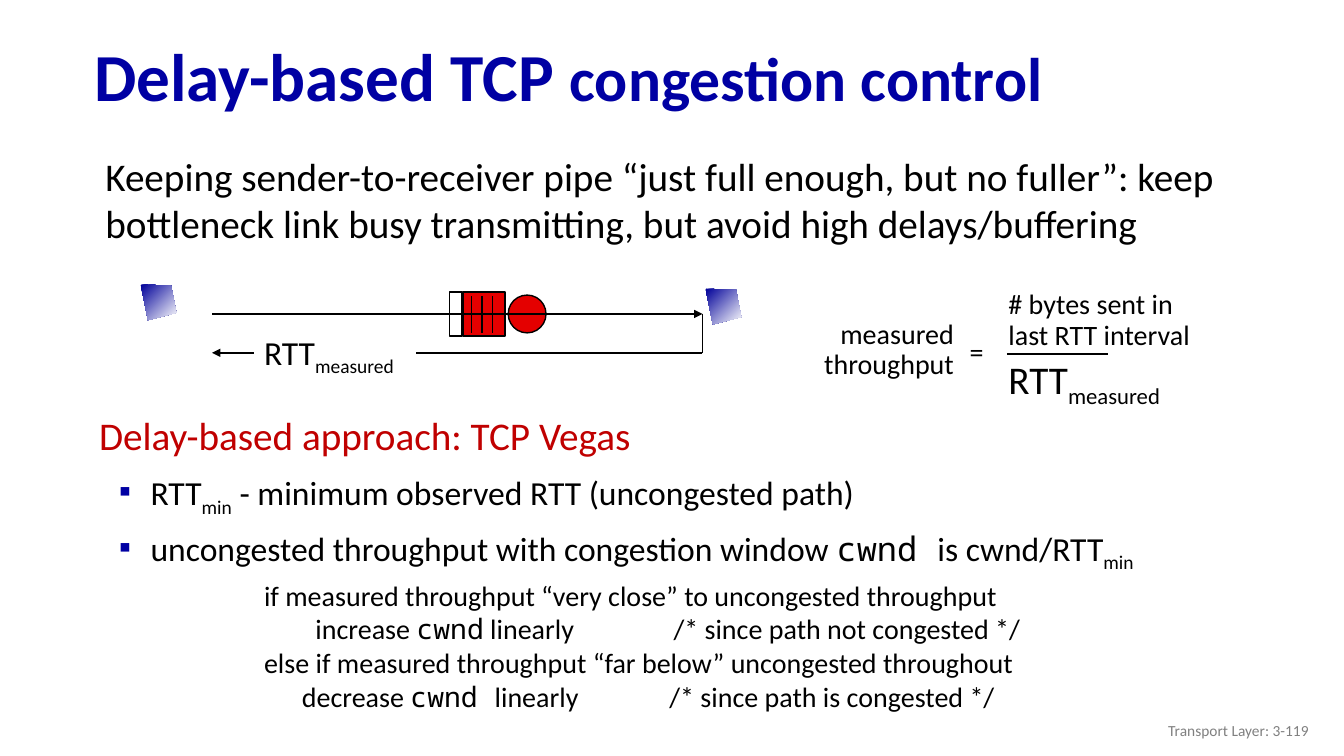
from lxml.etree import SubElement
from pptx import Presentation
from pptx.dml.color import RGBColor
from pptx.enum.shapes import MSO_CONNECTOR, MSO_SHAPE
from pptx.enum.text import MSO_ANCHOR, PP_ALIGN
from pptx.oxml.ns import qn
from pptx.util import Pt

PX = 9525
NAVY = RGBColor(0x00, 0x00, 0xA3)
HOST_BLUE = RGBColor(0x00, 0x00, 0x99)
RED = RGBColor(0xE4, 0x00, 0x00)
DARK_RED = RGBColor(0xC0, 0x00, 0x00)
BLACK = RGBColor(0x00, 0x00, 0x00)
GRAY = RGBColor(0x80, 0x80, 0x80)
WHITE = RGBColor(0xFF, 0xFF, 0xFF)
TEXT_FONT = "Calibri"
MONO = {"name": "Noto Sans Mono"}
SUBSCRIPT = {"baseline": -25000}
TIGHT = {"line_spacing": 0.9}
BULLETED = {**TIGHT, "space_before": Pt(10)}


def px(*lengths):
    return [length * PX for length in lengths]


def set_attributes(target, values):
    for name, value in values.items():
        setattr(target, name, value)


def add_runs(paragraph, runs, size, color=BLACK):
    for text, changes in runs:
        run = paragraph.add_run()
        run.text = text
        values = {"name": TEXT_FONT, "size": Pt(size), **changes}
        baseline = values.pop("baseline", None)
        set_attributes(run.font, values)
        run.font.color.rgb = color
        if baseline:
            run._r.get_or_add_rPr().set("baseline", str(baseline))


def set_indent(paragraph, margin, hanging=0):
    properties = paragraph._p.get_or_add_pPr()
    properties.set("marL", str(margin * PX))
    properties.set("indent", str(-hanging * PX))
    return properties


def add_bullet(paragraph):
    properties = set_indent(paragraph, 55, 30)
    color = SubElement(properties, qn("a:buClr"))
    SubElement(color, qn("a:srgbClr"), val=str(NAVY))
    SubElement(properties, qn("a:buFont"), typeface=TEXT_FONT)
    SubElement(properties, qn("a:buChar"), char="▪")


def add_tab_stops(paragraph, stops):
    tabs = SubElement(paragraph._p.get_or_add_pPr(), qn("a:tabLst"))
    for stop in stops:
        SubElement(tabs, qn("a:tab"), pos=str(stop * PX), algn="l")


def add_text(slide, box, lines, size, color=BLACK, values=None, anchor=MSO_ANCHOR.TOP):
    shape = slide.shapes.add_textbox(*px(*box))
    frame = shape.text_frame
    set_attributes(frame, {"word_wrap": True, "vertical_anchor": anchor})
    paragraphs = []
    for index, runs in enumerate(lines):
        paragraph = frame.add_paragraph() if index else frame.paragraphs[0]
        set_attributes(paragraph, values or {})
        add_runs(paragraph, runs, size, color)
        paragraphs.append(paragraph)
    return shape, paragraphs


def add_measured_rtt(slide, box, size):
    shape, _ = add_text(slide, box, [[("RTT", {}), ("measured", SUBSCRIPT)]], size)
    shape.fill.solid()
    shape.fill.fore_color.rgb = WHITE


def add_block(slide, kind, box, fill):
    shape = slide.shapes.add_shape(kind, *px(*box))
    shape.shadow.inherit = False
    shape.fill.solid()
    shape.fill.fore_color.rgb = fill
    shape.line.color.rgb = BLACK
    shape.line.width = Pt(1)
    return shape


def add_line(slide, start, end, width=1.25, arrow=False):
    line = slide.shapes.add_connector(MSO_CONNECTOR.STRAIGHT, *px(*start, *end))
    line.line.color.rgb = BLACK
    line.line.width = Pt(width)
    if arrow:
        SubElement(line.line._get_or_add_ln(), qn("a:tailEnd"), type="triangle")
    SubElement(line._element.spPr, qn("a:effectLst"))
    return line


def add_host(slide, left, top):
    outline = [(left + x, top + y) for x, y in [(0, 0), (29, 1), (34, 27), (7, 34)]]
    builder = slide.shapes.build_freeform(*outline[0], scale=PX)
    builder.add_line_segments(outline[1:], close=True)
    host = builder.convert_to_shape()
    host.shadow.inherit = False
    host.line.fill.background()
    host.fill.gradient()
    host.fill.gradient_angle = 315
    for stop, color in zip(host.fill.gradient_stops, (HOST_BLUE, WHITE)):
        stop.color.rgb = color


def add_title(slide):
    title = slide.shapes.title
    values = zip(("left", "top", "width", "height"), px(80, 29, 1196, 94))
    set_attributes(title, dict(values))
    title.text_frame.vertical_anchor = MSO_ANCHOR.MIDDLE
    paragraph = title.text_frame.paragraphs[0]
    set_attributes(paragraph, {**TIGHT, "alignment": PP_ALIGN.LEFT})
    runs = [("Delay-based TCP ", {"bold": True}),
            ("congestion control", {"bold": True, "size": Pt(44)})]
    add_runs(paragraph, runs, 48, NAVY)


def add_pipe(slide):
    add_host(slide, 134, 271)
    add_host(slide, 672, 275)
    queue = add_block(slide, MSO_SHAPE.RECTANGLE, (441, 278, 40, 42), RED)
    link = add_line(slide, (481, 299), (489, 299), 1.5)
    link.begin_connect(queue, 3)
    add_block(slide, MSO_SHAPE.OVAL, (484, 281, 36, 36), RED)
    for slot in range(3):
        x = 449 + 10 * slot
        add_line(slide, (x, 282), (x, 317))
    add_block(slide, MSO_SHAPE.RECTANGLE, (428, 278, 12, 42), WHITE)
    add_line(slide, (202, 299), (669, 299), arrow=True)
    add_line(slide, (669, 336), (202, 336), arrow=True)
    add_line(slide, (669, 299), (669, 336))
    add_measured_rtt(slide, (242, 311, 154, 48), 24)


def add_throughput_formula(slide):
    add_measured_rtt(slide, (951, 334, 176, 55), 28)
    add_text(slide, (774, 300, 144, 68), [[("measured", {})], [("throughput", {})]], 20,
             values={**TIGHT, "alignment": PP_ALIGN.RIGHT})
    add_line(slide, (959, 337), (1055, 337), 1.75)
    add_text(slide, (914, 314, 33, 42), [[("=", {})]], 20)
    add_text(slide, (951, 272, 195, 68), [[("# bytes sent in last RTT interval", {})]], 20,
             values=TIGHT)


def add_approach(slide):
    _, (heading, *_) = add_text(
        slide, (79, 392, 1222, 50), [[("Delay-based approach: TCP Vegas", {})]], 28,
        DARK_RED, TIGHT)
    set_indent(heading, 6)
    points = [
        [("RTT", {}), ("min", SUBSCRIPT),
         (" - minimum observed RTT (uncongested path)", {})],
        [("uncongested throughput with congestion window ", {}), ("cwnd ", MONO),
         ("is cwnd/RTT", {}), ("min", SUBSCRIPT)],
    ]
    frame = heading._parent
    for runs in points:
        paragraph = frame.add_paragraph()
        set_attributes(paragraph, BULLETED)
        add_bullet(paragraph)
        add_runs(paragraph, runs, 24)


def add_rules(slide):
    lines = [
        [("if measured throughput “very close” to uncongested throughput", {})],
        [("\tincrease ", {}), ("cwnd", MONO),
         (" linearly\t/* since path not congested */", {})],
        [("else if measured throughput “far below” uncongested throughout", {})],
        [("\tdecrease ", {}), ("cwnd ", MONO),
         ("linearly\t/* since path is congested */", {})],
    ]
    _, paragraphs = add_text(slide, (242, 546, 793, 168), lines, 20)
    add_tab_stops(paragraphs[1], (49, 390))
    add_tab_stops(paragraphs[3], (36, 386))


def main():
    presentation = Presentation()
    presentation.slide_width, presentation.slide_height = px(1280, 720)
    slide = presentation.slides.add_slide(presentation.slide_layouts[5])
    add_title(slide)
    goal = ("Keeping sender-to-receiver pipe “just full enough, but no fuller”: keep "
            "bottleneck link busy transmitting, but avoid high delays/buffering")
    _, (paragraph,) = add_text(slide, (66, 140, 1222, 100), [[(goal, {})]], 28)
    set_indent(paragraph, 25)
    add_pipe(slide)
    add_approach(slide)
    add_rules(slide)
    add_throughput_formula(slide)
    add_text(slide, (968, 677, 288, 38), [[("Transport Layer: 3-119", {})]], 11, GRAY,
             {"alignment": PP_ALIGN.RIGHT}, MSO_ANCHOR.MIDDLE)
    presentation.save("out.pptx")


if __name__ == "__main__":
    main()
